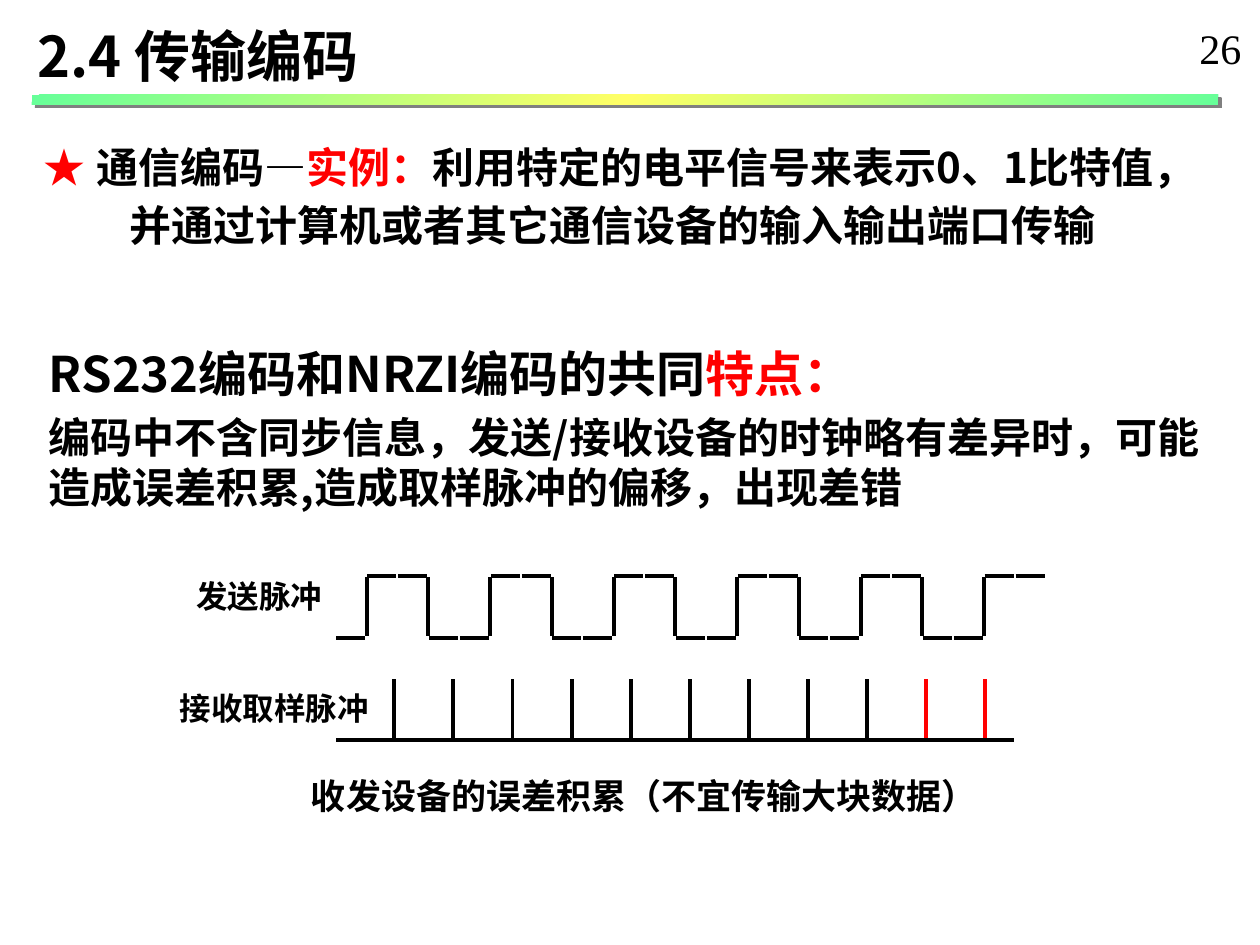
from copy import deepcopy

from lxml import etree
from pptx import Presentation
from pptx.dml.color import RGBColor
from pptx.enum.shapes import MSO_CONNECTOR, MSO_SHAPE
from pptx.enum.text import MSO_AUTO_SIZE
from pptx.oxml.ns import qn
from pptx.util import Inches, Pt

BLACK = RGBColor(0, 0, 0)
RED = RGBColor(255, 0, 0)
GREEN = RGBColor(0x66, 0xFF, 0x99)
YELLOW = RGBColor(0xFF, 0xFF, 0x66)
LINE = MSO_CONNECTOR.STRAIGHT
RECT = MSO_SHAPE.RECTANGLE
GROW = MSO_AUTO_SIZE.SHAPE_TO_FIT_TEXT
SANS = "Noto Sans CJK SC"
SERIF = "Times New Roman"
LEFT = 2.67
HIGH, LOW = 4.57, 5.06
STEP = 5.39 / 22
PITCH = 4.69 / 10


def add_bar(shapes):
    """Draw the gradient rule with its grey shadow."""
    bar = shapes.add_shape(RECT, Inches(0.25), Inches(0.75), Inches(9.42), Inches(0.08))
    bar.fill.gradient()
    bar.fill.gradient_angle = 315
    props = bar._element.spPr
    stops = props.find(".//" + qn("a:gsLst"))
    stops.append(deepcopy(stops[1]))
    for stop, spot, color in zip(bar.fill.gradient_stops, (0, 0.5, 1), (GREEN, YELLOW, GREEN)):
        stop.position = spot
        stop.color.rgb = color
    bar.line.fill.background()
    bar.shadow.inherit = False
    shade = etree.SubElement(props.find(qn("a:effectLst")), qn("a:outerShdw"),
                             dist=str(Pt(2.8)), dir="2700000", algn="ctr", rotWithShape="0")
    etree.SubElement(shade, qn("a:srgbClr"), val="808080")


def add_run(para, text, size, color=BLACK, font=SANS, bold=True):
    """Add one styled run, with its East Asian font."""
    run = para.add_run()
    run.text = text
    run.font.size = Pt(size)
    run.font.bold = bold
    run.font.color.rgb = color
    run.font.name = font
    etree.SubElement(run._r.get_or_add_rPr(), qn("a:ea"), typeface=font)


def add_text(shapes, box, paras, wrap=True):
    """Add a text box from lists of runs and return its frame."""
    frame = shapes.add_textbox(*map(Inches, box)).text_frame
    frame.word_wrap = wrap
    frame.auto_size = GROW
    for i, runs in enumerate(paras):
        para = frame.add_paragraph() if i else frame.paragraphs[0]
        if i:
            para.space_before = Pt(4.8)
        for run in runs:
            add_run(para, *run)
    return frame


def add_line(shapes, x1, y1, x2, y2, color=BLACK):
    """Draw one straight signal line."""
    line = shapes.add_connector(LINE, *map(Inches, (x1, y1, x2, y2)))
    line.line.color.rgb = color
    line.line.width = Pt(2.25)
    etree.SubElement(line._element.spPr, qn("a:effectLst"))


def add_wave(shapes):
    """Draw the square wave of the sender."""
    for i in range(23):
        x = LEFT + i * STEP
        y = HIGH if (i + 1) // 2 % 2 else LOW
        add_line(shapes, x, y, x + 0.23, y)
    for i in range(11):
        x = LEFT + 0.24 + 2 * i * STEP
        add_line(shapes, x, HIGH + 0.01, x, LOW - 0.01)


def add_ticks(shapes):
    """Draw the sampling pulses, the last two in red."""
    add_line(shapes, LEFT, 5.87, 8.05, 5.87)
    for i in range(11):
        x = 3.13 + PITCH * i
        add_line(shapes, x, 5.39, x, 5.86, RED if i > 8 else BLACK)


def main():
    """Build and save the slide."""
    deck = Presentation()
    deck.slide_width, deck.slide_height = Inches(10), Inches(7.5)
    shapes = deck.slides.add_slide(deck.slide_layouts[6]).shapes
    add_bar(shapes)
    add_text(shapes, (9.42, 0.13, 0.54, 0.5), [[("26", 24, BLACK, SERIF, False)]], False)
    intro = add_text(shapes, (0.25, 1.07, 9.4, 0.99), [
        [("★ ", 24, RED, SERIF), ("通信编码—", 24), ("实例：", 24, RED),
         ("利用特定的电平信号来表示0、1比特值，", 24)],
        [("并通过计算机或者其它通信设备的输入输出端口传输", 24)]])
    intro.paragraphs[1]._p.get_or_add_pPr().set("indent", str(Inches(0.68)))
    add_text(shapes, (0.2, 0.12, 3.78, 0.63), [[("2.4 传输编码", 32)]])
    add_text(shapes, (0.29, 2.68, 9.43, 1.46), [
        [("RS232编码和NRZI编码的共同", 28), ("特点：", 28, RED)],
        [("编码中不含同步信息，发送/接收设备的时钟略有差异时，"
          "可能造成误差积累,造成取样脉冲的偏移，出现差错", 24)]])
    chart = shapes.add_group_shape().shapes
    add_wave(chart)
    add_ticks(chart)
    add_text(chart, (1.46, 4.53, 1.2, 0.4), [[("发送脉冲", 18)]], False)
    add_text(chart, (1.33, 5.42, 1.71, 0.4), [[("接收取样脉冲", 18)]], False)
    add_text(shapes, (2.37, 6.1, 6.07, 0.43), [[("收发设备的误差积累（不宜传输大块数据）", 20)]])
    deck.save("out.pptx")


if __name__ == "__main__":
    main()
